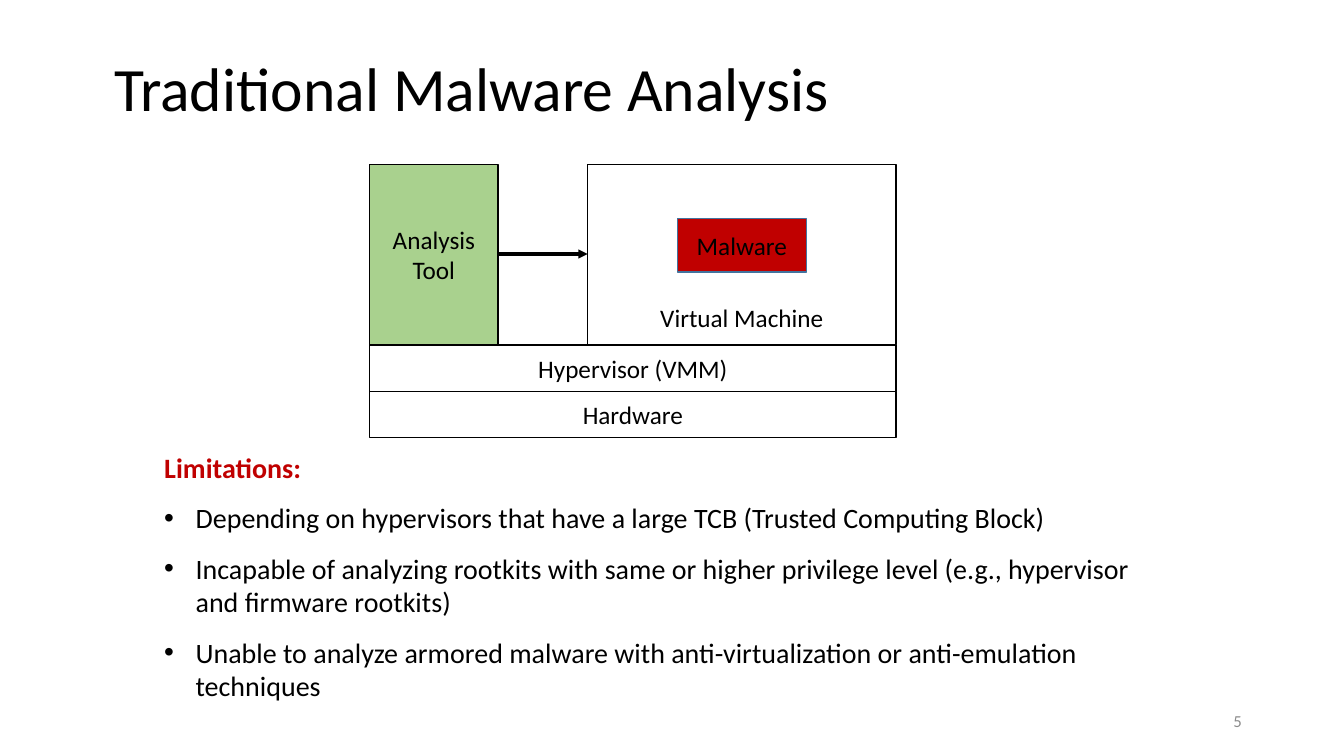
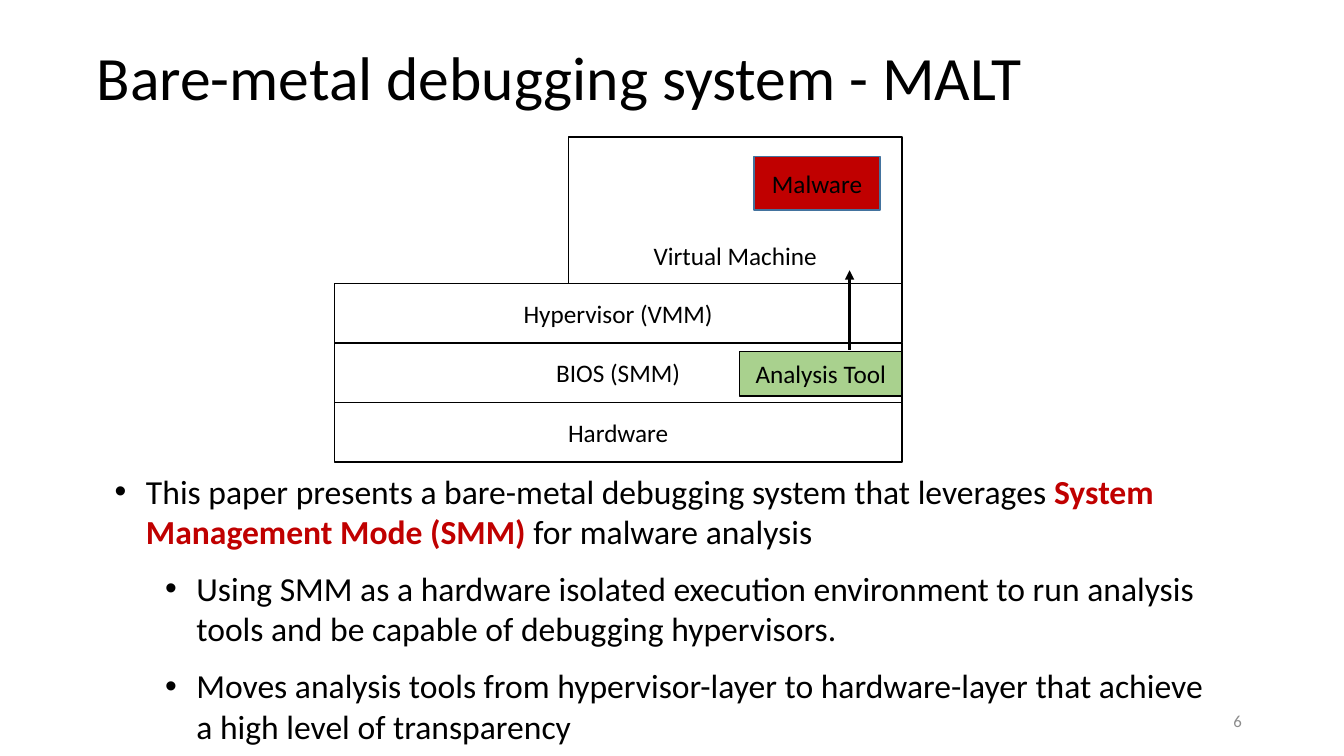
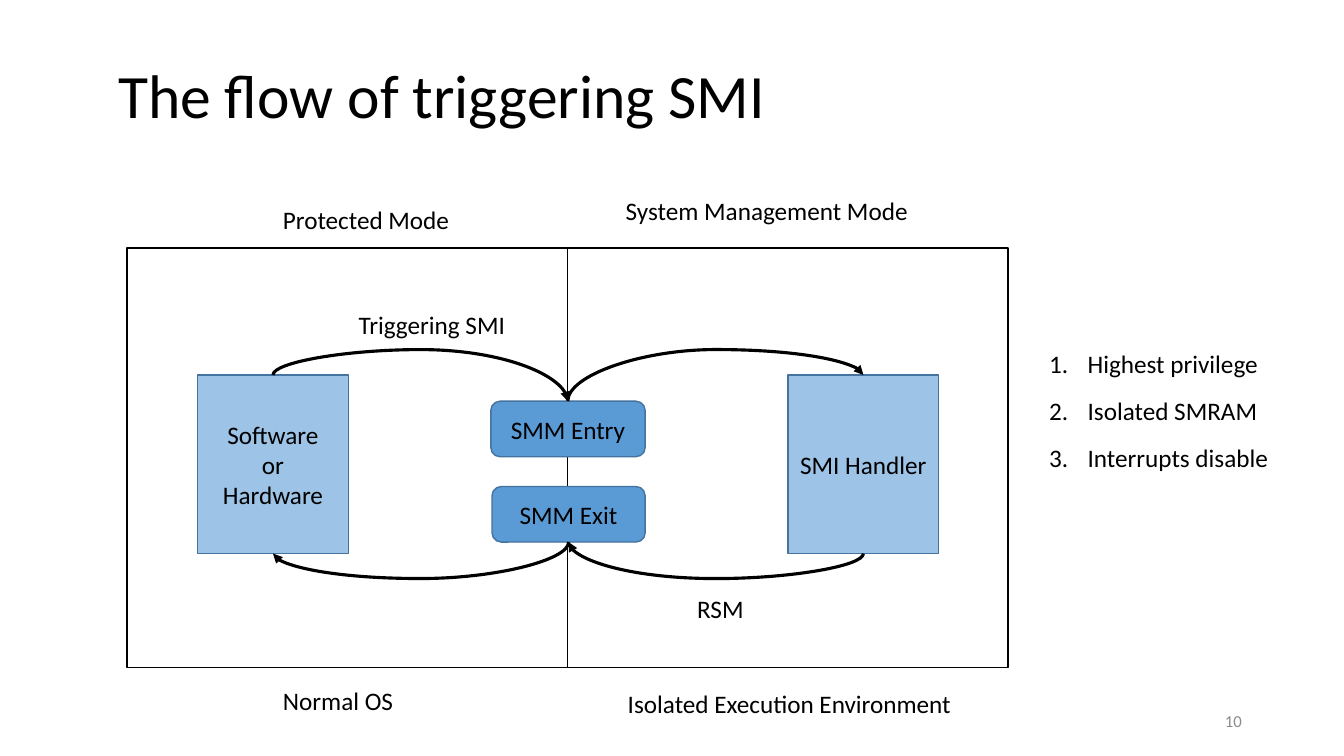
import dataclasses
from typing import Optional

import lxml.etree
import pptx
import pptx.dml.color
import pptx.enum.shapes
import pptx.enum.text
import pptx.oxml.ns
import pptx.util

Cm = pptx.util.Cm
Pt = pptx.util.Pt
Shape = pptx.enum.shapes.MSO_SHAPE
Connector = pptx.enum.shapes.MSO_CONNECTOR
Align = pptx.enum.text.PP_ALIGN
Anchor = pptx.enum.text.MSO_ANCHOR

FONT = "Calibri"
COLORS = {
    "text": "000000",
    "number": "8C8C8C",
    "alert": "C00000",
    "tool": "A9D18E",
    "endpoint": "9DC3E6",
    "gate": "5B9BD5",
    "edge": "43739E",
}


@dataclasses.dataclass(frozen=True)
class Area:
    left: float
    top: float
    width: float
    height: float

    def lengths(self) -> tuple:
        return tuple(Cm(value) for value in dataclasses.astuple(self))


@dataclasses.dataclass(frozen=True)
class Block:
    text: str
    area: Area
    fill: Optional[str] = None
    edge: str = "text"
    kind: int = Shape.RECTANGLE
    anchor: int = Anchor.MIDDLE


@dataclasses.dataclass(frozen=True)
class Span:
    text: str
    color: str = "text"
    bold: bool = False


@dataclasses.dataclass(frozen=True)
class Item:
    spans: tuple
    level: int = 0
    mark: str = "bullet"


@dataclasses.dataclass(frozen=True)
class Label:
    text: str
    area: Area


@dataclasses.dataclass(frozen=True)
class Arrow:
    x1: float
    y1: float
    x2: float
    y2: float
    bend: Optional[float] = None


def rgb(name: str):
    return pptx.dml.color.RGBColor.from_string(COLORS[name])


def add_span(para, span: Span, size: float) -> None:
    run = para.add_run()
    run.text = span.text
    run.font.name = FONT
    run.font.size = Pt(size)
    run.font.bold = span.bold
    run.font.color.rgb = rgb(span.color)


def add_child(parent, tag: str, **attributes: str):
    return lxml.etree.SubElement(parent, pptx.oxml.ns.qn(tag), **attributes)


def add_page(deck, title: str, left: float, top: float, number: int):
    page = deck.slides.add_slide(deck.slide_layouts[5])
    box = page.shapes.title
    box.left, box.top, box.width, box.height = Area(left, top, 29.21, 3.68).lengths()
    frame = box.text_frame
    frame.auto_size = pptx.enum.text.MSO_AUTO_SIZE.NONE
    frame.vertical_anchor = Anchor.MIDDLE
    para = frame.paragraphs[0]
    para.alignment = Align.LEFT
    para.line_spacing = 0.9
    add_span(para, Span(title), 44)

    footer = page.shapes.add_textbox(*Area(23.93, 17.65, 7.62, 1.02).lengths())
    footer.text_frame.word_wrap = True
    footer.text_frame.vertical_anchor = Anchor.MIDDLE
    para = footer.text_frame.paragraphs[0]
    para.alignment = Align.RIGHT
    add_span(para, Span(str(number), "number"), 12)
    return page


def add_block(page, block: Block) -> None:
    box = page.shapes.add_shape(block.kind, *block.area.lengths())
    box.shadow.inherit = False
    if block.fill:
        box.fill.solid()
        box.fill.fore_color.rgb = rgb(block.fill)
    else:
        box.fill.background()
    box.line.color.rgb = rgb(block.edge)
    box.line.width = Pt(1)
    frame = box.text_frame
    frame.word_wrap = True
    frame.vertical_anchor = block.anchor
    if block.anchor == Anchor.BOTTOM:
        frame.margin_bottom = Cm(0.32)
    for index, line in enumerate(block.text.splitlines()):
        para = frame.add_paragraph() if index else frame.paragraphs[0]
        para.alignment = Align.CENTER
        add_span(para, Span(line), 18)


def add_layers(page, names: list[str], area: Area) -> None:
    for index, name in enumerate(names):
        top = area.top + index * area.height
        add_block(page, Block(name, dataclasses.replace(area, top=top)))


def add_label(page, label: Label) -> None:
    box = page.shapes.add_textbox(*label.area.lengths())
    box.text_frame.word_wrap = False
    add_span(box.text_frame.paragraphs[0], Span(label.text), 18)


def add_items(page, items: list[Item], area: Area, size: float, hang: float, wrap: bool = True) -> None:
    box = page.shapes.add_textbox(*area.lengths())
    frame = box.text_frame
    frame.word_wrap = wrap
    for index, item in enumerate(items):
        para = frame.add_paragraph() if index else frame.paragraphs[0]
        para.level = item.level
        if item.mark == "heading":
            para.line_spacing = 1.5
        else:
            para.space_before = Pt(12)
            properties = para._p.get_or_add_pPr()
            properties.set("marL", str(Cm(hang + 1.27 * item.level)))
            properties.set("indent", str(-Cm(hang)))
            if item.mark == "number":
                add_child(properties, "a:buFont", typeface="+mj-lt")
                add_child(properties, "a:buAutoNum", type="arabicPeriod")
            else:
                add_child(properties, "a:buFont", typeface="Arial")
                add_child(properties, "a:buChar", char="•")
        for span in item.spans:
            add_span(para, span, size)


def bend_connector(line, arrow: Arrow) -> None:
    rightward, downward = arrow.x2 > arrow.x1, arrow.y2 > arrow.y1
    frame = line._element.spPr.find(pptx.oxml.ns.qn("a:xfrm"))
    if rightward and downward:
        turn, flips = 270, ["flipH"]
    else:
        turn = 90
        flips = [name for name, on in (("flipH", not downward), ("flipV", rightward)) if on]
    frame.set("rot", str(turn * 60000))
    for flip in flips:
        frame.set(flip, "1")
    share = (arrow.bend - arrow.y1) / (arrow.y2 - arrow.y1)
    geometry = line._element.spPr.find(pptx.oxml.ns.qn("a:prstGeom"))
    guides = geometry.find(pptx.oxml.ns.qn("a:avLst"))
    if guides is None:
        guides = add_child(geometry, "a:avLst")
    add_child(guides, "a:gd", name="adj1", fmla=f"val {round(share * 100000)}")


def add_arrow(page, arrow: Arrow) -> None:
    if arrow.bend is None:
        ends = (arrow.x1, arrow.y1, arrow.x2, arrow.y2)
        line = page.shapes.add_connector(Connector.STRAIGHT, *map(Cm, ends))
    else:
        middle_x, middle_y = (arrow.x1 + arrow.x2) / 2, (arrow.y1 + arrow.y2) / 2
        half_width, half_height = abs(arrow.y2 - arrow.y1) / 2, abs(arrow.x2 - arrow.x1) / 2
        ends = (middle_x - half_width, middle_y - half_height,
                middle_x + half_width, middle_y + half_height)
        line = page.shapes.add_connector(Connector.CURVE, *map(Cm, ends))
        bend_connector(line, arrow)
    line.line.color.rgb = rgb("text")
    line.line.width = Pt(2.25)
    add_child(line.line._get_or_add_ln(), "a:tailEnd", type="triangle")
    add_child(line._element.spPr, "a:effectLst")


def build_traditional(deck) -> None:
    page = add_page(deck, "Traditional Malware Analysis", 2.62, 0.46, 5)
    add_layers(page, ["Hypervisor (VMM)", "Hardware"], Area(9.32, 8.69, 13.26, 1.17))
    for block in (
        Block("Virtual Machine", Area(14.81, 4.14, 7.77, 4.55), anchor=Anchor.BOTTOM),
        Block("Analysis Tool", Area(9.32, 4.14, 3.23, 4.55), "tool"),
        Block("Malware", Area(17.07, 5.51, 3.25, 1.35), "alert", "edge"),
    ):
        add_block(page, block)
    add_arrow(page, Arrow(12.55, 6.4, 14.81, 6.4))
    limits = (
        "Depending on hypervisors that have a large TCB (Trusted Computing Block)",
        "Incapable of analyzing rootkits with same or higher privilege level "
        "(e.g., hypervisor and firmware rootkits)",
        "Unable to analyze armored malware with anti-virtualization or "
        "anti-emulation techniques",
    )
    items = [Item((Span("Limitations:", "alert", True),), mark="heading")]
    items += [Item((Span(limit),)) for limit in limits]
    add_items(page, items, Area(3.89, 10.8, 26.06, 7.09), 20, 0.79)


def build_bare_metal(deck) -> None:
    page = add_page(deck, "Bare-metal debugging system - MALT", 2.18, 0.2, 6)
    add_layers(page, ["Hypervisor (VMM)", "BIOS (SMM)", "Hardware"], Area(8.43, 7.14, 14.3, 1.5))
    for block in (
        Block("Virtual Machine", Area(14.33, 3.45, 8.4, 3.69), anchor=Anchor.BOTTOM),
        Block("Analysis Tool", Area(18.64, 8.86, 4.09, 1.12), "tool"),
        Block("Malware", Area(19, 3.94, 3.18, 1.35), "alert", "edge"),
    ):
        add_block(page, block)
    add_arrow(page, Arrow(21.41, 8.81, 21.41, 6.81))
    items = [
        Item((
            Span("This paper presents a bare-metal debugging system that leverages "),
            Span("System Management Mode (SMM)", "alert", True),
            Span(" for malware analysis"),
        )),
        Item((Span("Using SMM as a hardware isolated execution environment to run "
                   "analysis tools and be capable of debugging hypervisors."),), 1),
        Item((Span("Moves analysis tools from hypervisor-layer to hardware-layer "
                   "that achieve a high level of transparency"),), 1),
    ]
    add_items(page, items, Area(2.64, 11.73, 28.3, 7.26), 24, 0.79)


def build_flow(deck) -> None:
    page = add_page(deck, "The flow of triggering SMI", 2.72, 0.64, 10)
    for block in (
        Block("", Area(3.2, 6.25, 11.1, 10.57)),
        Block("", Area(14.3, 6.25, 11.1, 10.57)),
        Block("Software\nor\nHardware", Area(4.98, 9.45, 3.8, 4.5), "endpoint", "edge"),
        Block("SMI Handler", Area(19.86, 9.45, 3.8, 4.5), "endpoint", "edge"),
        Block("SMM Entry", Area(12.37, 10.11, 3.89, 1.4), "gate", "edge", Shape.ROUNDED_RECTANGLE),
        Block("SMM Exit", Area(12.4, 12.26, 3.86, 1.4), "gate", "edge", Shape.ROUNDED_RECTANGLE),
    ):
        add_block(page, block)
    for arrow in (
        Arrow(6.88, 9.45, 14.31, 10.11, 8.81),
        Arrow(14.31, 10.11, 21.76, 9.45, 8.81),
        Arrow(14.33, 13.66, 6.88, 13.95, 14.58),
        Arrow(21.76, 13.95, 14.33, 13.66, 14.58),
    ):
        add_arrow(page, arrow)
    for label in (
        Label("Triggering SMI", Area(8.79, 7.67, 4.24, 1.02)),
        Label("RSM", Area(17.32, 14.83, 1.7, 1.02)),
        Label("Protected Mode", Area(6.88, 5.03, 4.75, 1.02)),
        Label("System Management Mode", Area(15.52, 4.8, 7.7, 1.02)),
        Label("Normal OS", Area(6.88, 17.15, 3.33, 1.02)),
        Label("Isolated Execution Environment", Area(15.57, 17.22, 8.76, 1.02)),
    ):
        add_label(page, label)
    features = ("Highest privilege", "Isolated SMRAM", "Interrupts disable")
    items = [Item((Span(feature),), mark="number") for feature in features]
    add_items(page, items, Area(26.19, 8.66, 6.07, 4.19), 18, 0.97, wrap=False)


deck = pptx.Presentation()
deck.slide_width = Cm(33.87)
deck.slide_height = Cm(19.05)
build_traditional(deck)
build_bare_metal(deck)
build_flow(deck)
deck.save("out.pptx")
